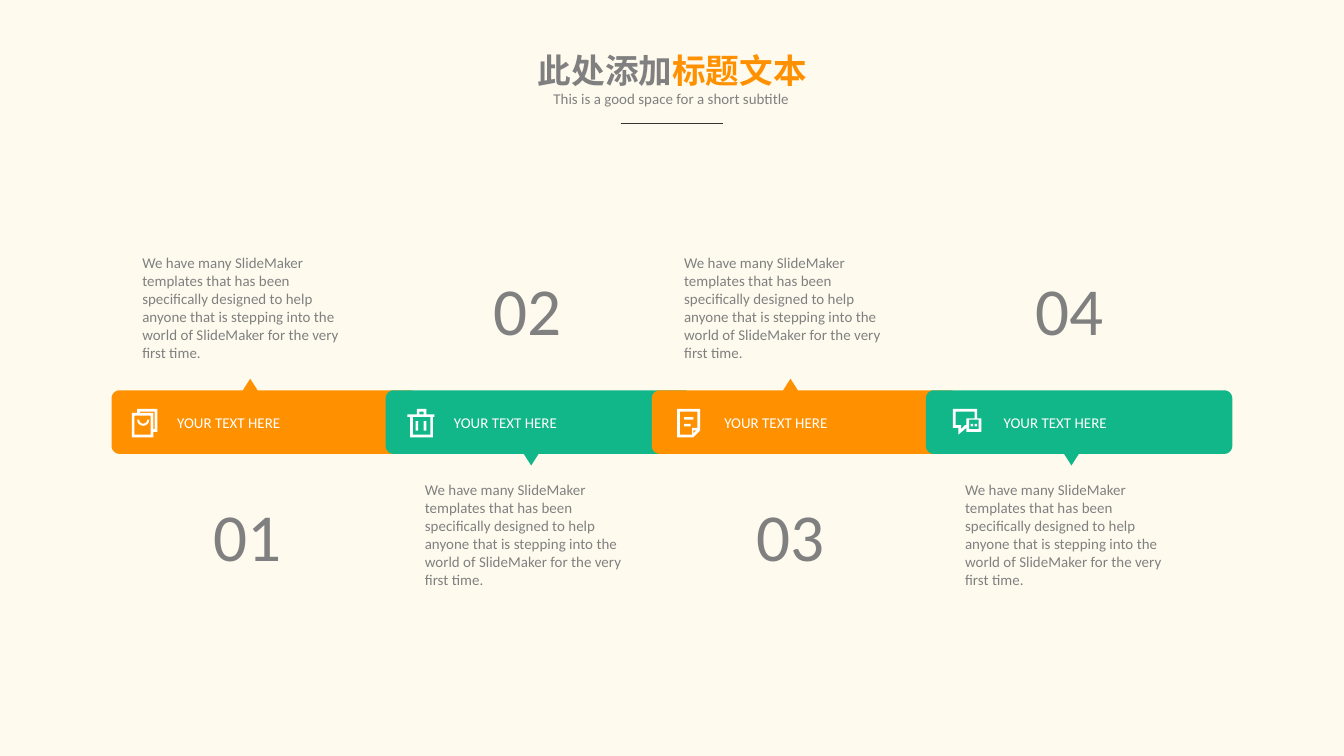
import math
from dataclasses import dataclass

from lxml import etree
from pptx import Presentation
from pptx.dml.color import RGBColor
from pptx.enum.shapes import MSO_CONNECTOR, MSO_SHAPE
from pptx.enum.text import MSO_ANCHOR, MSO_AUTO_SIZE, PP_ALIGN
from pptx.oxml.ns import qn
from pptx.util import Cm, Pt

CREAM = RGBColor(0xFE, 0xFA, 0xEE)
ORANGE = RGBColor(0xFF, 0x91, 0x01)
GREEN = RGBColor(0x12, 0xB7, 0x89)
GREY = RGBColor(0x80, 0x80, 0x80)
DARK = RGBColor(0x33, 0x33, 0x33)
WHITE = RGBColor(0xFF, 0xFF, 0xFF)

RECTANGLE = MSO_SHAPE.RECTANGLE
STRAIGHT = MSO_CONNECTOR.STRAIGHT
LEFT, CENTER = PP_ALIGN.LEFT, PP_ALIGN.CENTER
TOP = MSO_ANCHOR.TOP
GROW = MSO_AUTO_SIZE.SHAPE_TO_FIT_TEXT

TITLE_ONLY = 5
ICON_UNIT = 0.51 / 20  # icons are drawn on a grid about 20 units high

# Banner geometry in cm
BAR_TOP, BAR_WIDTH, BAR_HEIGHT, CORNER = 7.38, 5.79, 1.2, 0.15
POINTER_HALF, POINTER_HEIGHT = 0.14, 0.22

BODY = ("We have many SlideMaker templates that has been specifically designed to help "
        "anyone that is stepping into the world of SlideMaker for the very first time.")


def arc(x, y, radius, start, end, steps=8):
    """Points on a circle, angles in degrees, clockwise from the right."""
    angles = [math.radians(start + (end - start) * i / steps) for i in range(steps + 1)]
    return [(x + radius * math.cos(a), y + radius * math.sin(a)) for a in angles]


@dataclass
class Icon:
    contours: list  # outline first, then its holes
    bars: list      # left, top, width, height


BAG = Icon([
    [(19, 0), (4, 0), (4, 3), (0, 3), (0, 21), (16, 21), (16, 17), (19, 17)],
    [(14, 19), (2, 19), (2, 5), (14, 5)],
    [(17, 15), (16, 15), (16, 3), (6, 3), (6, 2), (17, 2)],
    arc(8.5, 8, 4.5, 0, 180) + arc(8.5, 8, 3, 180, 0),
], [])
BIN = Icon([
    [(20, 4), (14, 4), (14, 0), (7, 0), (7, 4), (0, 4), (0, 6), (2, 6),
     (2, 21), (19, 21), (19, 6), (20, 6)],
    [(9, 2), (12, 2), (12, 4), (9, 4)],
    [(17, 19), (4, 19), (4, 6), (17, 6)],
], [(6, 9, 2, 7), (12, 9, 2, 7)])
NOTE = Icon([
    [(0, 0), (0, 21), (12, 21), (17, 16), (17, 0)],
    [(2, 2), (15, 2), (15, 14), (11, 14), (11, 19), (2, 19)],
    [(14, 16), (12, 18), (12, 16)],
], [(5, 6, 7, 2), (5, 11, 5, 2)])
CHAT = Icon([
    [(18, 7), (18, 0), (0, 0), (0, 14), (4, 14), (4, 19), (10, 14), (10, 17),
     (21, 17), (21, 7)],
    [(9, 12), (6, 15), (6, 12), (2, 12), (2, 2), (16, 2), (16, 7), (10, 7), (10, 12)],
    [(19, 15), (12, 15), (12, 8), (19, 8)],
], [(13, 11, 2, 2), (16, 11, 2, 2)])


@dataclass
class Step:
    number: str
    icon: Icon
    bar_left: float
    icon_left: float
    label_left: float
    body_left: float
    number_left: float


STEPS = [
    Step("01", BAG, 2.11, 2.49, 3.10, 2.69, 3.78),
    Step("02", BIN, 7.29, 7.70, 8.33, 8.03, 9.07),
    Step("03", NOTE, 12.32, 12.80, 13.44, 12.93, 14.05),
    Step("04", CHAT, 17.50, 18.01, 18.72, 18.24, 19.33),
]


@dataclass
class Painter:
    slide: object
    font: str = "Calibri"

    def fill(self, shape, color):
        shape.shadow.inherit = False
        shape.fill.solid()
        shape.fill.fore_color.rgb = color
        shape.line.fill.background()
        return shape

    def outline(self, contours, color):
        """Filled freeform; contours are lists of points in cm."""
        builder = None
        for contour in contours:
            points = [(Cm(x), Cm(y)) for x, y in contour]
            if builder is None:
                builder = self.slide.shapes.build_freeform(*points[0], scale=1.0)
            else:
                builder.move_to(*points[0])
            builder.add_line_segments(points[1:], close=True)
        return self.fill(builder.convert_to_shape(), color)

    def banner(self, left, color, points_up):
        right, bottom = left + BAR_WIDTH, BAR_TOP + BAR_HEIGHT
        corners = [(left, BAR_TOP, 1, 1, 180), (right, BAR_TOP, -1, 1, 270),
                   (right, bottom, -1, -1, 0), (left, bottom, 1, -1, 90)]
        arcs = [arc(x + dx * CORNER, y + dy * CORNER, CORNER, start, start + 90)
                for x, y, dx, dy, start in corners]
        tip = left + (2.62 if points_up else 2.75)
        edge, sign, after = (BAR_TOP, -1, 1) if points_up else (bottom, 1, 3)
        arcs.insert(after, [(tip + sign * POINTER_HALF, edge),
                            (tip, edge + sign * POINTER_HEIGHT),
                            (tip - sign * POINTER_HALF, edge)])
        self.outline([[point for part in arcs for point in part]], color)

    def icon(self, icon, left, top):
        contours = [[(left + x * ICON_UNIT, top + y * ICON_UNIT) for x, y in contour]
                    for contour in icon.contours]
        parts = [self.outline(contours, WHITE)]
        for x, y, width, height in icon.bars:
            bar = self.slide.shapes.add_shape(
                RECTANGLE, Cm(left + x * ICON_UNIT), Cm(top + y * ICON_UNIT),
                Cm(width * ICON_UNIT), Cm(height * ICON_UNIT))
            parts.append(self.fill(bar, WHITE))
        self.slide.shapes.add_group_shape(parts)

    def set_spans(self, box, spans, size, bold=False, align=LEFT, wrap=False):
        frame = box.text_frame
        frame.word_wrap, frame.auto_size, frame.vertical_anchor = wrap, GROW, TOP
        para = frame.paragraphs[0]
        para.alignment = align
        for text, color in spans:
            span = para.add_run()
            span.text = text
            span.font.name, span.font.size, span.font.bold = self.font, Pt(size), bold
            span.font.color.rgb = color

    def title(self, left, top, width, height, spans, size):
        box = self.slide.shapes.title
        box.left, box.top, box.width, box.height = Cm(left), Cm(top), Cm(width), Cm(height)
        self.set_spans(box, spans, size, bold=True, align=CENTER)

    def text(self, left, top, width, height, text, size, color=GREY,
             align=LEFT, wrap=False, inset=True):
        box = self.slide.shapes.add_textbox(Cm(left), Cm(top), Cm(width), Cm(height))
        if not inset:
            frame = box.text_frame
            frame.margin_left = frame.margin_right = frame.margin_top = frame.margin_bottom = 0
        self.set_spans(box, [(text, color)], size, align=align, wrap=wrap)

    def rule(self, left, right, y, color, weight):
        line = self.slide.shapes.add_connector(STRAIGHT, Cm(left), Cm(y), Cm(right), Cm(y))
        line.line.color.rgb = color
        line.line.width = Pt(weight)
        etree.SubElement(line._element.spPr, qn("a:effectLst"))


def main():
    deck = Presentation()
    deck.slide_width, deck.slide_height = Cm(25.4), Cm(14.29)
    slide = deck.slides.add_slide(deck.slide_layouts[TITLE_ONLY])
    slide.background.fill.solid()
    slide.background.fill.fore_color.rgb = CREAM
    painter = Painter(slide)

    # Heading
    painter.title(9.86, 0.81, 5.69, 1.02, [("此处添加", GREY), ("标题文本", ORANGE)], 18)
    painter.text(10.19, 1.57, 5, 0.61, "This is a good space for a short subtitle", 8,
                 align=CENTER)
    painter.rule(11.73, 13.67, 2.34, DARK, 0.5)

    # Four steps, text alternately above and below the band
    for index, step in enumerate(STEPS):
        above = index % 2 == 0
        painter.banner(step.bar_left, ORANGE if above else GREEN, above)
        painter.icon(step.icon, step.icon_left, 7.73)
        painter.text(step.label_left, 7.7, 2.46, 0.61, "YOUR TEXT HERE", 8, WHITE)
        painter.text(step.body_left, 4.8 if above else 9.09, 3.99, 2.03, BODY, 8,
                     wrap=True, inset=False)
        painter.text(step.number_left, 9.22 if above else 4.95, 1.8, 1.8, step.number, 36)

    deck.save("out.pptx")


if __name__ == "__main__":
    main()
